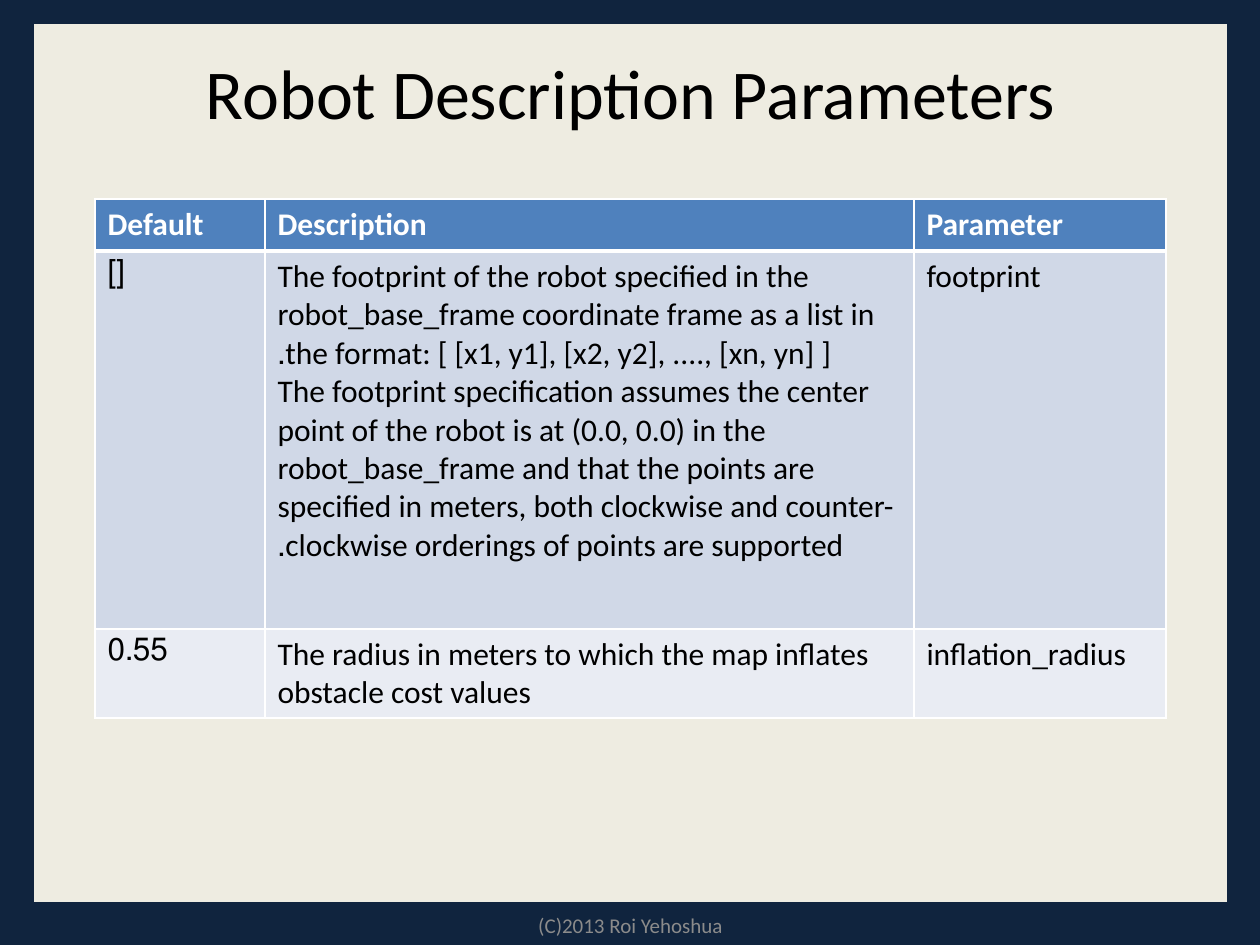
from dataclasses import dataclass

from lxml.etree import SubElement
from pptx import Presentation
from pptx.dml.color import RGBColor
from pptx.enum.shapes import MSO_SHAPE as Shape
from pptx.enum.text import MSO_ANCHOR as Anchor, PP_ALIGN as Align
from pptx.oxml.ns import qn
from pptx.util import Emu, Pt

PX_PER_INCH = 126


@dataclass(frozen=True)
class Theme:
    font: str = "Calibri"
    navy: str = "10243E"
    cream: str = "EEECE1"
    black: str = "000000"
    white: str = "FFFFFF"
    grey: str = "8B8B8B"
    header: str = "4F81BD"
    bands: tuple = ("D0D8E7", "E9ECF3")
    title_size: int = 40
    body_size: int = 18
    footer_size: int = 12
    frame_line: int = 2
    thin_line: float = 0.96
    thick_line: int = 3


THEME = Theme()

COLUMNS = (170, 649, 252)
ROWS = (52, 378, 89)
CELLS = (
    ("Default", "Description", "Parameter"),
    (
        "[]",
        "The footprint of the robot specified in the robot_base_frame coordinate "
        "frame as a list in the format: [ [x1, y1], [x2, y2], ...., [xn, yn] ].\n"
        "The footprint specification assumes the center point of the robot is at "
        "(0.0, 0.0) in the robot_base_frame and that the points are specified in "
        "meters, both clockwise and counter-clockwise orderings of points are "
        "supported.",
        "footprint",
    ),
    (
        "0.55",
        "The radius in meters to which the map inflates obstacle cost values",
        "inflation_radius",
    ),
)


def px(n):
    return Emu(round(n * 914400 / PX_PER_INCH))


def box_emu(box):
    return [px(n) for n in box]


def rgb(color):
    return RGBColor.from_string(color)


def style_font(p, size, color, bold=False):
    p.font.name = THEME.font
    p.font.size = Pt(size)
    p.font.bold = bold
    p.font.color.rgb = rgb(color)


def add_panel(slide, box):
    sp = slide.shapes.add_shape(Shape.RECTANGLE, *box_emu(box))
    sp.shadow.inherit = False
    sp.fill.solid()
    sp.fill.fore_color.rgb = rgb(THEME.cream)
    sp.line.color.rgb = rgb(THEME.navy)
    sp.line.width = Pt(THEME.frame_line)


def add_centred_text(slide, box, text, size, color):
    tf = slide.shapes.add_textbox(*box_emu(box)).text_frame
    tf.word_wrap = True
    tf.vertical_anchor = Anchor.MIDDLE
    p = tf.paragraphs[0]
    p.text = text
    p.alignment = Align.CENTER
    style_font(p, size, color)


def set_borders(cell, widths):
    """Draw white borders; widths maps each side (L, R, T, B) to points."""
    tc_pr = cell._tc.get_or_add_tcPr()
    for i, (side, width) in enumerate(widths.items()):
        ln = SubElement(tc_pr, qn(f"a:ln{side}"), w=str(Pt(width)))
        fill = SubElement(ln, qn("a:solidFill"))
        SubElement(fill, qn("a:srgbClr"), val=THEME.white)
        tc_pr.insert(i, ln)


def fill_cell(cell, text, row):
    is_header = row == 0
    cell.fill.solid()
    cell.fill.fore_color.rgb = rgb(THEME.header if is_header else THEME.bands[row - 1])
    widths = dict.fromkeys("LRTB", THEME.thin_line)
    if row < 2:
        widths["B" if is_header else "T"] = THEME.thick_line
    set_borders(cell, widths)
    cell.text = text
    for p in cell.text_frame.paragraphs:
        p.alignment = Align.LEFT
        p._p.get_or_add_pPr().set("rtl", "1")
        style_font(p, THEME.body_size, THEME.white if is_header else THEME.black, is_header)


def add_parameter_table(slide, left, top):
    box = (left, top, sum(COLUMNS), sum(ROWS))
    table = slide.shapes.add_table(len(ROWS), len(COLUMNS), *box_emu(box)).table
    for column, width in zip(table.columns, COLUMNS):
        column.width = px(width)
    for r, (height, texts) in enumerate(zip(ROWS, CELLS)):
        table.rows[r].height = px(height)
        for c, text in enumerate(texts):
            fill_cell(table.cell(r, c), text, r)


def build_slide(prs):
    slide = prs.slides.add_slide(prs.slide_layouts[6])
    slide.background.fill.solid()
    slide.background.fill.fore_color.rgb = rgb(THEME.navy)
    add_panel(slide, (32, 22, 1197, 882))
    add_centred_text(slide, (32, 26, 1197, 131), "Robot Description Parameters",
                     THEME.title_size, THEME.black)
    add_centred_text(slide, (431, 904, 399, 42), "(C)2013 Roi Yehoshua",
                     THEME.footer_size, THEME.grey)
    add_parameter_table(slide, 95, 199)


def main():
    prs = Presentation()
    prs.slide_width, prs.slide_height = px(1260), px(945)
    build_slide(prs)
    prs.save("out.pptx")


if __name__ == "__main__":
    main()
